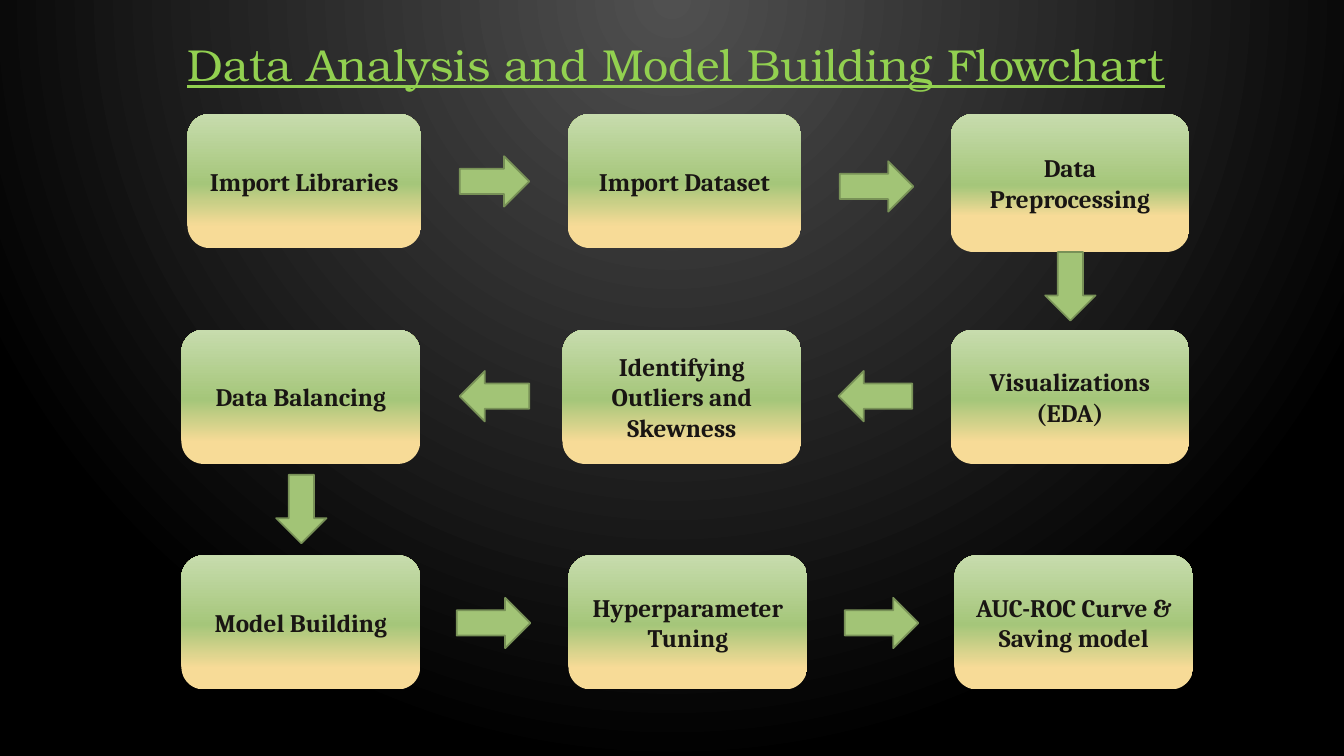
from pptx import Presentation
from pptx.dml.color import RGBColor
from pptx.enum.shapes import MSO_SHAPE as SHAPE
from pptx.enum.text import MSO_ANCHOR as ANCHOR, PP_ALIGN as ALIGN
from pptx.oxml.ns import qn
from pptx.util import Pt
from lxml.etree import SubElement

# Content
TITLE = "Data Analysis and Model Building Flowchart"
STEP_HEIGHT = 95.8
# Each row: top, then steps as (text, left, width)
STEP_ROWS = [
    (81.4, [("Import Libraries", 133.9, 167), ("Import Dataset", 405.4, 167),
            ("Data Preprocessing", 679, 170.6)]),
    (235.6, [("Data Balancing", 129.6, 170.6),
             ("Identifying Outliers and Skewness", 401.8, 170.6),
             ("Visualizations\n(EDA)", 679, 170.6)]),
    (396.7, [("Model Building", 129.6, 170.6), ("Hyperparameter Tuning", 406.1, 170.6),
             ("AUC-ROC Curve & Saving model", 681.8, 170.6)]),
]
# A few steps differ from the rest: height and end of the sand-coloured band
TALL_STEP, TALL_HEIGHT, TALL_BAND = "Data Preprocessing", 98.6, 26
# Arrows in reading order: direction, left, top, length
ARROWS = [
    ("right", 328.3, 111.6, 49.7), ("right", 599.8, 115.2, 52.6),
    ("down", 746.6, 180, 49), ("left", 599, 265, 52.6),
    ("left", 328.3, 265, 49.7), ("down", 197.3, 339.1, 49),
    ("right", 326.2, 427, 52.6), ("right", 603.4, 427, 52.6),
]
ARROW_SHAPES = {"right": SHAPE.RIGHT_ARROW, "left": SHAPE.LEFT_ARROW,
                "down": SHAPE.DOWN_ARROW}
ARROW_BREADTH = 36


def color(hex_code):
    return RGBColor.from_string(hex_code)


def paint_gradient(owner, fill, stops, angle=None, center=None):
    """Fill with any number of stops, linear by angle or circular by center."""
    fill.gradient()
    gradient = next(owner.element.iter(qn("a:gradFill")))
    for child in list(gradient):
        gradient.remove(child)
    stop_list = SubElement(gradient, qn("a:gsLst"))
    for position, hex_code in stops:
        stop = SubElement(stop_list, qn("a:gs"), pos=str(position * 1000))
        SubElement(stop, qn("a:srgbClr"), val=hex_code)
    if center:
        circle = SubElement(gradient, qn("a:path"), path="circle")
        SubElement(circle, qn("a:fillToRect"),
                   **{side: str(share * 1000) for side, share in zip("ltrb", center)})
    else:
        SubElement(gradient, qn("a:lin"), ang=str(angle * 60000), scaled="0")


def write(frame, text, font, size, hex_code, bold=False, underline=False,
          anchor=ANCHOR.MIDDLE):
    frame.word_wrap = True
    frame.vertical_anchor = anchor
    frame.text = text
    for paragraph in frame.paragraphs:
        paragraph.alignment = ALIGN.CENTER
        for run in paragraph.runs:
            run.font.name, run.font.size = font, Pt(size)
            run.font.bold, run.font.underline = bold, underline
            run.font.color.rgb = color(hex_code)


def add_shape(kind, *box):
    shape = slide.shapes.add_shape(kind, *map(Pt, box))
    shape.shadow.inherit = False
    return shape


deck = Presentation()
deck.slide_width, deck.slide_height = Pt(960), Pt(540)
slide = deck.slides.add_slide(deck.slide_layouts[6])
paint_gradient(slide, slide.background.fill, [(0, "505050"), (100, "000000")],
               center=(43, 0, 43, 100))

# Title
title = slide.shapes.add_textbox(Pt(40.3), Pt(23), Pt(885.6), Pt(67.7))
write(title.text_frame, TITLE, "TeX Gyre Bonum", 32, "92D050", underline=True,
      anchor=ANCHOR.TOP)

# Steps
for top, steps in STEP_ROWS:
    for text, left, width in steps:
        tall = text == TALL_STEP
        step = add_shape(SHAPE.FLOWCHART_ALTERNATE_PROCESS, left, top, width,
                         TALL_HEIGHT if tall else STEP_HEIGHT)
        band = TALL_BAND if tall else 16
        paint_gradient(step, step.fill,
                       [(band, "F7DB97"), (48, "A5C67A"), (100, "C7DCAD")], angle=270)
        step.line.fill.background()
        write(step.text_frame, text, "Cambria", 18, "191513", bold=True)

# Arrows
for direction, left, top, length in ARROWS:
    size = (ARROW_BREADTH, length) if direction == "down" else (length, ARROW_BREADTH)
    arrow = add_shape(ARROW_SHAPES[direction], left, top, *size)
    arrow.fill.solid()
    arrow.fill.fore_color.rgb = color("A2C476")
    arrow.line.color.rgb = color("789157")
    arrow.line.width = Pt(1.25)

deck.save("out.pptx")
